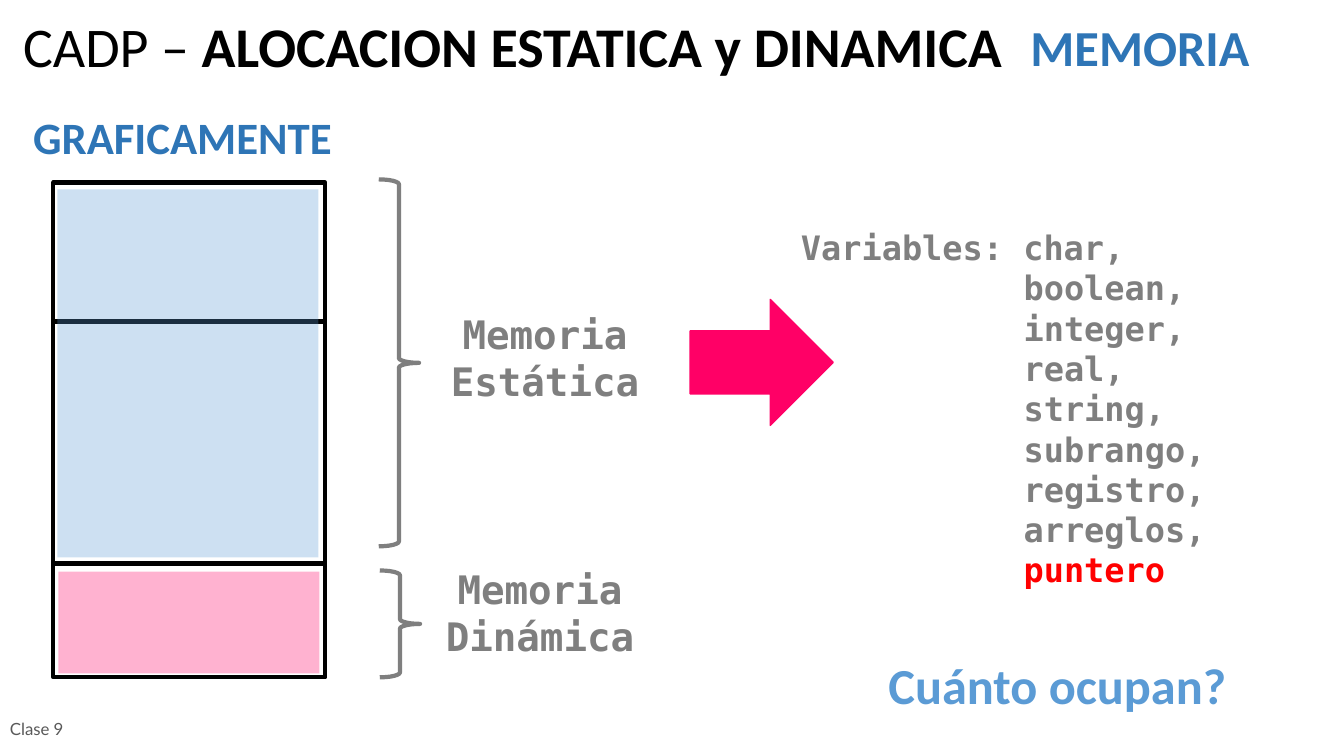
from lxml.etree import SubElement
from pptx import Presentation
from pptx.dml.color import RGBColor
from pptx.enum.shapes import MSO_CONNECTOR, MSO_SHAPE
from pptx.enum.text import MSO_ANCHOR, MSO_AUTO_SIZE, PP_ALIGN
from pptx.oxml.ns import qn
from pptx.util import Inches, Pt

SANS, MONO = "Calibri", "DejaVu Sans Mono"
BLACK, GRAY, BLUE, SKY, PINK = "000000", "7F7F7F", "2E75B6", "5B9BD5", "FF0066"
TYPES = ["boolean", "integer", "real", "string", "subrango", "registro", "arreglos"]


def color(code):
    return RGBColor.from_string(code)


def place(shape, *box):
    shape.left, shape.top, shape.width, shape.height = map(Inches, box)


def style(font, name, size, code, bold=True):
    font.name, font.size, font.bold = name, Pt(size), bold
    font.color.rgb = color(code)


def label(slide, box, lines, name, size, code, bold=True, align=PP_ALIGN.LEFT,
          anchor=MSO_ANCHOR.TOP):
    frame = slide.shapes.add_textbox(*map(Inches, box)).text_frame
    frame.word_wrap = True
    frame.vertical_anchor = anchor
    frame.text = lines
    for para in frame.paragraphs:
        para.alignment = align
        style(para.font, name, size, code, bold)


def stroke(line, code, width):
    line.color.rgb = color(code)
    line.width = Pt(width)


def draw(slide, kind, box, fill=None, line=None, width=3, alpha=None):
    shape = slide.shapes.add_shape(kind, *map(Inches, box))
    shape.shadow.inherit = False
    if fill:
        shape.fill.solid()
        shape.fill.fore_color.rgb = color(fill)
    else:
        shape.fill.background()
    if alpha:
        tint = shape.fill._xPr.find(qn("a:solidFill"))[0]
        SubElement(tint, qn("a:alpha"), val=str(alpha * 1000))
    if line:
        stroke(shape.line, line, width)
    else:
        shape.line.fill.background()
    return shape


def rule(slide, left, right, top):
    line = slide.shapes.add_connector(
        MSO_CONNECTOR.STRAIGHT, *map(Inches, (left, top, right, top)))
    stroke(line.line, BLACK, 3)
    SubElement(line._element.spPr, qn("a:effectLst"))


def brace(slide, box):
    shape = draw(slide, MSO_SHAPE.RIGHT_BRACE, box, line=GRAY)
    shape.adjustments[0] = 0.12


def heading(slide):
    title = slide.shapes.title
    place(title, 0.13, 0.14, 10.16, 0.76)
    frame = title.text_frame
    frame.auto_size = MSO_AUTO_SIZE.NONE
    frame.vertical_anchor = MSO_ANCHOR.TOP
    para = frame.paragraphs[0]
    para.alignment = PP_ALIGN.LEFT
    para.line_spacing = 0.9
    for text, bold in (("CADP – ", False), ("ALOCACION ESTATICA y DINAMICA", True)):
        run = para.add_run()
        run.text = text
        style(run.font, SANS, 40, BLACK, bold)


def listing(slide):
    """Variable types, aligned after the lead word."""
    body = slide.placeholders[1]
    place(body, 7.85, 2.2, 5.05, 3.7)
    frame = body.text_frame
    frame.auto_size = MSO_AUTO_SIZE.NONE
    frame.vertical_anchor = MSO_ANCHOR.TOP
    lines = ["Variables: char,"] + [f"{name}," for name in TYPES] + ["puntero"]
    frame.text = "\n".join(lines)
    for i, para in enumerate(frame.paragraphs):
        props = para._p.get_or_add_pPr()
        props.set("marL", str(Inches(2.21 if i else 0)))
        props.set("indent", "0")
        SubElement(props, qn("a:buNone"))
        para.alignment = PP_ALIGN.LEFT
        para.space_before = Pt(0)
        style(para.font, MONO, 24, GRAY)
    para.runs[0].font.color.rgb = color("FF0000")


def memory(slide):
    left, width = 0.53, 2.7
    draw(slide, MSO_SHAPE.RECTANGLE, (left, 1.81, width, 4.91), "FFFFFF", BLACK)
    for top in (3.19, 5.59):
        rule(slide, left, left + width, top)
    draw(slide, MSO_SHAPE.RECTANGLE, (0.57, 1.88, 2.59, 3.65), SKY, alpha=30)
    draw(slide, MSO_SHAPE.RECTANGLE, (0.58, 5.67, 2.59, 1.01), PINK, alpha=30)


def main():
    deck = Presentation()
    deck.slide_width, deck.slide_height = Inches(13.34), Inches(7.5)
    slide = deck.slides.add_slide(deck.slide_layouts[1])
    heading(slide)
    listing(slide)
    label(slide, (10.13, 0.11, 2.44, 0.7), "MEMORIA", SANS, 36, BLUE)
    label(slide, (0.23, 1.04, 3.51, 0.64), "GRAFICAMENTE", SANS, 32, BLUE)
    label(slide, (0, 7.02, 1.07, 0.43), "Clase 9", "Lato", 12, "595959", False,
          anchor=MSO_ANCHOR.MIDDLE)
    label(slide, (8.24, 6.44, 4.51, 0.7), "Cuánto ocupan?", SANS, 36, SKY,
          align=PP_ALIGN.CENTER)
    memory(slide)
    for kind, left, top, span, box in (
            ("Estática", 4.22, 3.03, 2.38, (3.76, 1.78, 0.4, 3.64)),
            ("Dinámica", 4.17, 5.56, 2.38, (3.77, 5.66, 0.4, 1.06))):
        label(slide, (left, top, span, 1.04), f"Memoria\n{kind}", MONO, 28, GRAY,
              align=PP_ALIGN.CENTER)
        brace(slide, box)
    draw(slide, MSO_SHAPE.RIGHT_ARROW, (6.85, 2.97, 1.42, 1.25), PINK, PINK, 1)
    deck.save("out.pptx")


if __name__ == "__main__":
    main()
